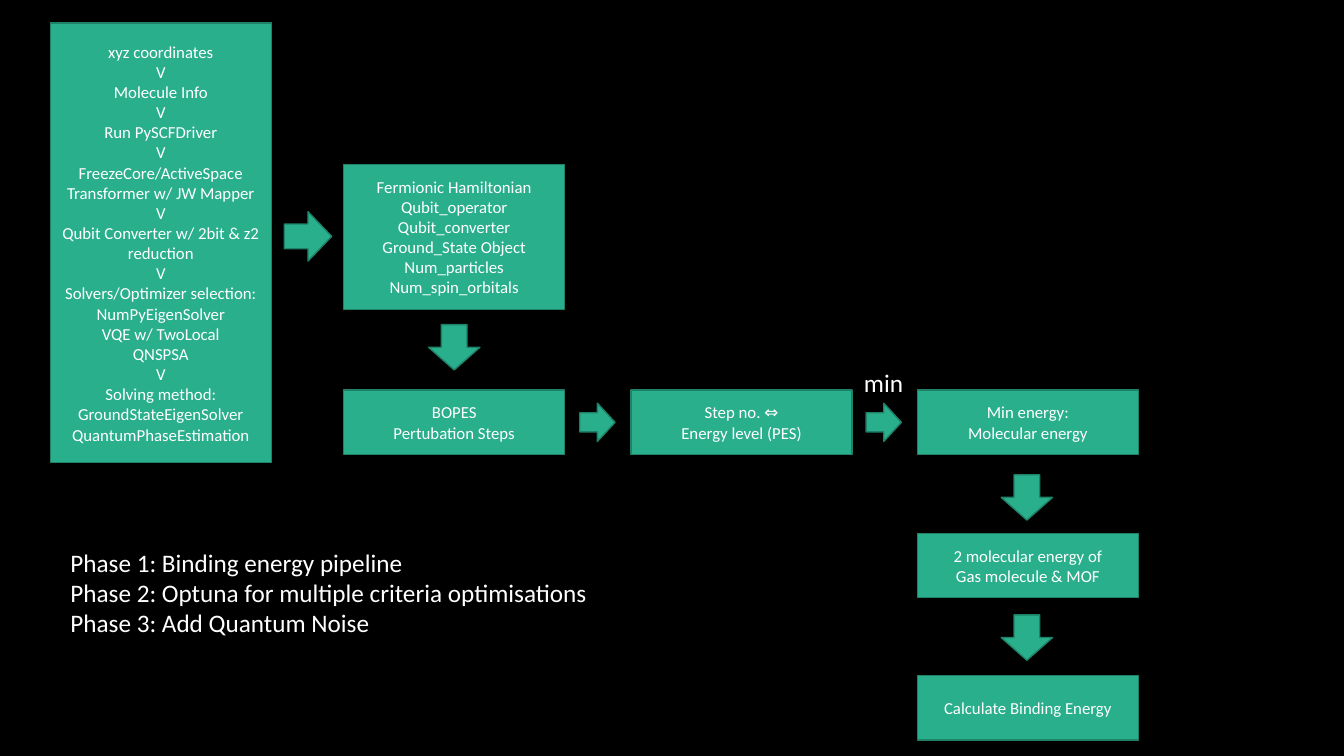
from pptx import Presentation
from pptx.dml.color import RGBColor as RGB
from pptx.enum.shapes import MSO_SHAPE as Shape
from pptx.enum.text import MSO_ANCHOR as Anchor, MSO_AUTO_SIZE as Fit, PP_ALIGN as Align
from pptx.util import Inches, Pt

COLORS = {"back": "000000", "fill": "29AF8C", "edge": "1E8168", "text": "FFFFFF"}
WIDE, LOW = 2.19, 0.64
ROW = 3.87
COLS = [3.41, 6.26, 9.1]

SETUP = [
    "xyz coordinates",
    "Molecule Info",
    "Run PySCFDriver",
    "FreezeCore/ActiveSpace Transformer w/ JW Mapper",
    "Qubit Converter w/ 2bit & z2 reduction",
    "Solvers/Optimizer selection:\nNumPyEigenSolver\nVQE w/ TwoLocal\nQNSPSA",
    "Solving method:\nGroundStateEigenSolver\nQuantumPhaseEstimation",
]
OBJECTS = """Fermionic Hamiltonian
Qubit_operator
Qubit_converter
Ground_State Object
Num_particles
Num_spin_orbitals"""
PHASES = """Phase 1: Binding energy pipeline
Phase 2: Optuna for multiple criteria optimisations
Phase 3: Add Quantum Noise"""


def color(name):
    return RGB.from_string(COLORS[name])


def write(frame, text, size=12, align=Align.CENTER, anchor=Anchor.MIDDLE, wrap=True):
    frame.word_wrap = wrap
    frame.vertical_anchor = anchor
    for i, line in enumerate(text.split("\n")):
        para = frame.paragraphs[0] if i == 0 else frame.add_paragraph()
        para.alignment = align
        run = para.add_run()
        run.text = line
        run.font.size = Pt(size)
        run.font.name = "Calibri"
        run.font.color.rgb = color("text")


def draw(slide, kind, x, y, w, h):
    shape = slide.shapes.add_shape(kind, Inches(x), Inches(y), Inches(w), Inches(h))
    shape.shadow.inherit = False
    shape.fill.solid()
    shape.fill.fore_color.rgb = color("fill")
    shape.line.color.rgb = color("edge")
    shape.line.width = Pt(1)
    return shape


def box(slide, text, x, y, h=LOW):
    write(draw(slide, Shape.RECTANGLE, x, y, WIDE, h).text_frame, text)


def right(slide, x, y=4, w=0.35, h=0.38):
    draw(slide, Shape.RIGHT_ARROW, x, y, w, h)


def down(slide, x, y):
    draw(slide, Shape.DOWN_ARROW, x, y, 0.51, 0.45)


def label(slide, text, x, y, w, h):
    frame = slide.shapes.add_textbox(Inches(x), Inches(y), Inches(w), Inches(h)).text_frame
    write(frame, text, size=18, align=Align.LEFT, anchor=Anchor.TOP, wrap=False)
    frame.auto_size = Fit.SHAPE_TO_FIT_TEXT


def main():
    deck = Presentation()
    deck.slide_width, deck.slide_height = Inches(13.33), Inches(7.5)
    slide = deck.slides.add_slide(deck.slide_layouts[6])
    slide.background.fill.solid()
    slide.background.fill.fore_color.rgb = color("back")

    box(slide, "\nV\n".join(SETUP), 0.5, 0.23, 4.36)
    right(slide, 2.82, 2.1, 0.47, 0.49)
    box(slide, OBJECTS, COLS[0], 1.63, 1.44)
    down(slide, 4.25, 3.22)

    steps = [
        "BOPES\nPertubation Steps",
        "Step no. ⇔\nEnergy level (PES)",
        "Min energy:\nMolecular energy",
    ]
    for x, text in zip(COLS, steps):
        box(slide, text, x, ROW)
    for x in (5.75, 8.59):
        right(slide, x)
    label(slide, "min", 8.47, 3.59, 0.59, 0.4)

    box(slide, "2 molecular energy of\nGas molecule & MOF", COLS[2], 5.29)
    box(slide, "Calculate Binding Energy", COLS[2], 6.7)
    for y in (4.71, 6.1):
        down(slide, 9.93, y)
    label(slide, PHASES, 0.6, 5.38, 5.39, 1.01)

    deck.save("out.pptx")


if __name__ == "__main__":
    main()
